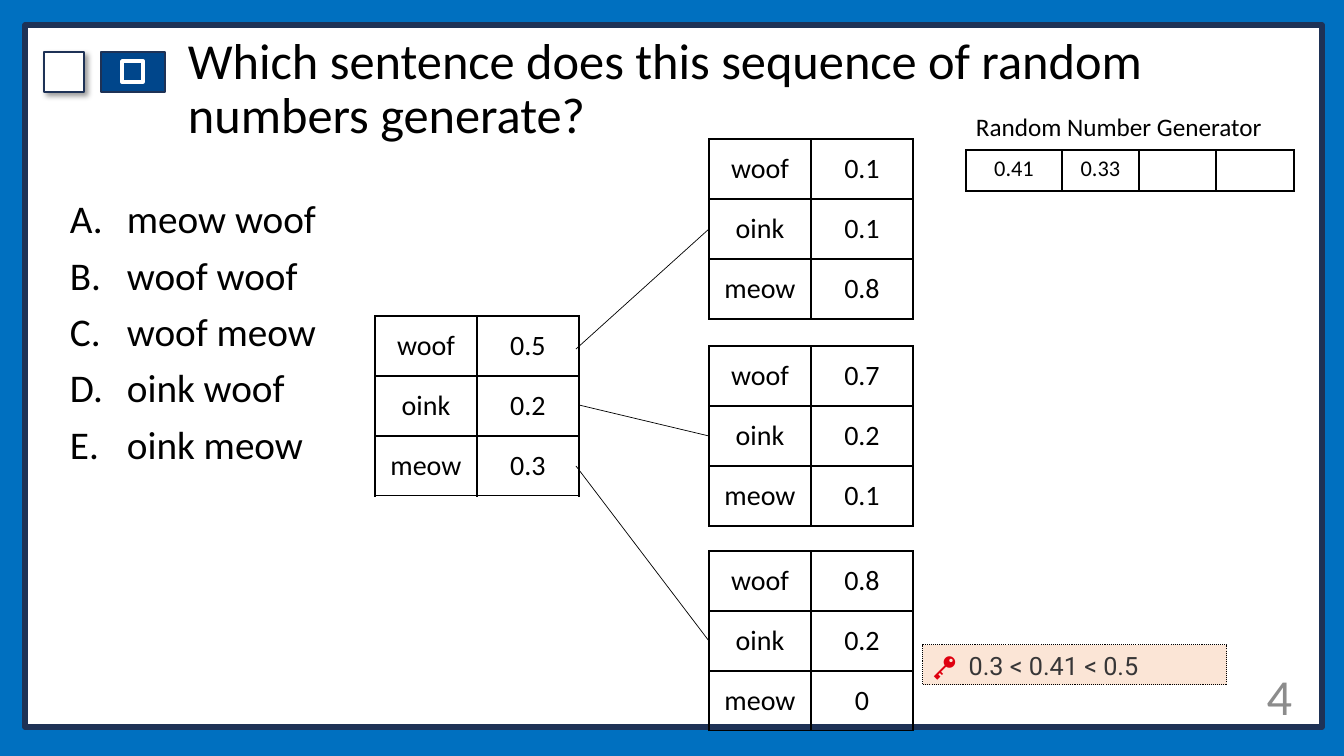
from dataclasses import dataclass

from lxml import etree
from pptx import Presentation
from pptx.dml.color import RGBColor
from pptx.enum.dml import MSO_LINE
from pptx.enum.shapes import MSO_CONNECTOR, MSO_SHAPE
from pptx.enum.text import MSO_ANCHOR, PP_ALIGN
from pptx.oxml.ns import qn
from pptx.util import Pt

TOP, MIDDLE = MSO_ANCHOR.TOP, MSO_ANCHOR.MIDDLE
LEFT, CENTER, RIGHT = PP_ALIGN.LEFT, PP_ALIGN.CENTER, PP_ALIGN.RIGHT
RECTANGLE, STRAIGHT, DOTTED = MSO_SHAPE.RECTANGLE, MSO_CONNECTOR.STRAIGHT, MSO_LINE.ROUND_DOT

SCALE = 914400 / 100.8
PAGE_SIZE = (1344, 756)


@dataclass(frozen=True)
class Theme:
    font: str = "Calibri"
    key_font: str = "Roboto"
    black: str = "000000"
    white: str = "FFFFFF"
    backdrop: str = "0070C0"
    navy: str = "1E3256"
    badge: str = "00468B"
    number: str = "8C8C8C"
    key_fill: str = "FBE5D6"
    key_icon: str = "DF000F"
    key_text: str = "373637"
    title: int = 36
    answer: int = 28
    word: int = 20
    label: int = 18
    draw: int = 16


THEME = Theme()

TITLE = "Which sentence does this sequence of random numbers generate?"
ANSWERS = ["meow woof", "woof woof", "woof meow", "oink woof", "oink meow"]
WORDS = ["woof", "oink", "meow"]
FIRST_WORD = ((375, 316), ["0.5", "0.2", "0.3"])
NEXT_WORDS = [
    ((709, 139), ["0.1", "0.1", "0.8"], (576, 349)),
    ((709, 346), ["0.7", "0.2", "0.1"], (579, 405)),
    ((709, 551), ["0.8", "0.2", "0"], (576, 466)),
]
DRAWS_LABEL = "Random Number Generator"
DRAWS = ["0.41", "0.33", "", ""]
DRAW_WIDTHS = [96, 77, 77, 78]
KEY = [("🔑 ", THEME.key_icon), (" 0.3 < 0.41 < 0.5", THEME.key_text)]
PAGE_NUMBER = "4"
FRAME_PARTS = [
    ((25, 25, 1297, 702), THEME.white, THEME.navy, 4),
    ((101, 52, 64, 40), THEME.badge, THEME.navy, 1),
    ((122, 61, 21, 21), THEME.badge, THEME.white, 2.5),
    ((44, 52, 40, 40), THEME.white, THEME.navy, 1),
]
WORD_COLUMN, WORD_ROW, DRAW_ROW = 102, 60, 41


def px(value):
    return round(value * SCALE)


def rgb(value):
    return RGBColor.from_string(value)


def add_xml(parent, tag, **attributes):
    return etree.SubElement(parent, qn(tag), {name: str(value) for name, value in attributes.items()})


def style(para, size, color=THEME.black, align=LEFT, font=THEME.font):
    para.alignment = align
    para.font.name, para.font.size = font, Pt(size)
    para.font.color.rgb = rgb(color)


def add_box(page, area, fill, line, width):
    box = page.shapes.add_shape(RECTANGLE, *map(px, area))
    box.shadow.inherit = False
    box.fill.solid()
    box.fill.fore_color.rgb = rgb(fill)
    box.line.color.rgb = rgb(line)
    box.line.width = Pt(width)
    return box


def add_shadow(box):
    effects = box.element.spPr.find(qn("a:effectLst"))
    shadow = add_xml(effects, "a:outerShdw", blurRad=Pt(4), dist=Pt(3), dir=45 * 60000, algn="tl")
    color = add_xml(shadow, "a:srgbClr", val=THEME.black)
    add_xml(color, "a:alpha", val=40000)


def add_text(page, area, lines, size, color=THEME.black, align=LEFT, anchor=TOP, wrap=True):
    frame = page.shapes.add_textbox(*map(px, area)).text_frame
    frame.word_wrap, frame.vertical_anchor = wrap, anchor
    frame.text = "\n".join(lines)
    for para in frame.paragraphs:
        style(para, size, color, align)
    return frame.paragraphs


def add_borders(cell):
    properties = cell._tc.get_or_add_tcPr()
    for index, side in enumerate(("a:lnL", "a:lnR", "a:lnT", "a:lnB")):
        line = etree.Element(qn(side), {"w": str(Pt(1))})
        add_xml(add_xml(line, "a:solidFill"), "a:srgbClr", val=THEME.black)
        properties.insert(index, line)


def add_grid(page, origin, rows, widths, row_height, size, anchor):
    extent = (sum(widths), row_height * len(rows))
    table = page.shapes.add_table(len(rows), len(widths), *map(px, origin + extent)).table
    table.first_row = table.horz_banding = False
    for column, width in zip(table.columns, widths):
        column.width = px(width)
    for row, texts in zip(table.rows, rows):
        row.height = px(row_height)
        for cell, text in zip(row.cells, texts):
            cell.text = text
            cell.vertical_anchor = anchor
            cell.fill.background()
            style(cell.text_frame.paragraphs[0], size, align=CENTER)
            add_borders(cell)


def add_word_table(page, origin, chances):
    add_grid(page, origin, list(zip(WORDS, chances)), [WORD_COLUMN] * 2, WORD_ROW, THEME.word, MIDDLE)


def add_branch(page, start, end):
    branch = page.shapes.add_connector(STRAIGHT, *map(px, start + end))
    branch.line.color.rgb = rgb(THEME.black)
    branch.line.width = Pt(0.5)
    add_xml(branch.element.spPr, "a:effectLst")


def add_key(page):
    box = add_box(page, (923, 645, 304, 40), THEME.key_fill, THEME.black, 0.75)
    box.line.dash_style = DOTTED
    box.text_frame.word_wrap, box.text_frame.vertical_anchor = True, TOP
    para = box.text_frame.paragraphs[0]
    style(para, THEME.label, font=THEME.key_font)
    for text, color in KEY:
        span = para.add_run()
        span.text = text
        span.font.color.rgb = rgb(color)


def main():
    deck = Presentation()
    deck.slide_width, deck.slide_height = map(px, PAGE_SIZE)
    page = deck.slides.add_slide(deck.slide_layouts[6])
    page.background.fill.solid()
    page.background.fill.fore_color.rgb = rgb(THEME.backdrop)

    boxes = [add_box(page, *part) for part in FRAME_PARTS]
    add_shadow(boxes[-1])

    for para in add_text(page, (178, 72, 1074, 37), [TITLE], THEME.title, anchor=MIDDLE):
        para.line_spacing = 0.9
    for para in add_text(page, (60, 195, 376, 490), ANSWERS, THEME.answer):
        para.line_spacing, para.space_before = 0.9, Pt(10)
        properties = para._p.get_or_add_pPr()
        properties.set("marL", str(px(57)))
        properties.set("indent", str(-px(57)))
        numbering = etree.Element(qn("a:buAutoNum"), {"type": "alphaUcPeriod"})
        properties.find(qn("a:defRPr")).addprevious(numbering)

    add_word_table(page, *FIRST_WORD)
    for origin, chances, start in NEXT_WORDS:
        left, top = origin
        add_word_table(page, origin, chances)
        add_branch(page, start, (left, top + WORD_ROW * len(WORDS) // 2))

    add_grid(page, (966, 150), [DRAWS], DRAW_WIDTHS, DRAW_ROW, THEME.draw, TOP)
    add_text(page, (966, 106, 309, 40), [DRAWS_LABEL], THEME.label, wrap=False)
    add_text(page, (1176, 652, 126, 87), [PAGE_NUMBER], THEME.title, THEME.number, RIGHT, MIDDLE)
    add_key(page)
    deck.save("out.pptx")


if __name__ == "__main__":
    main()
